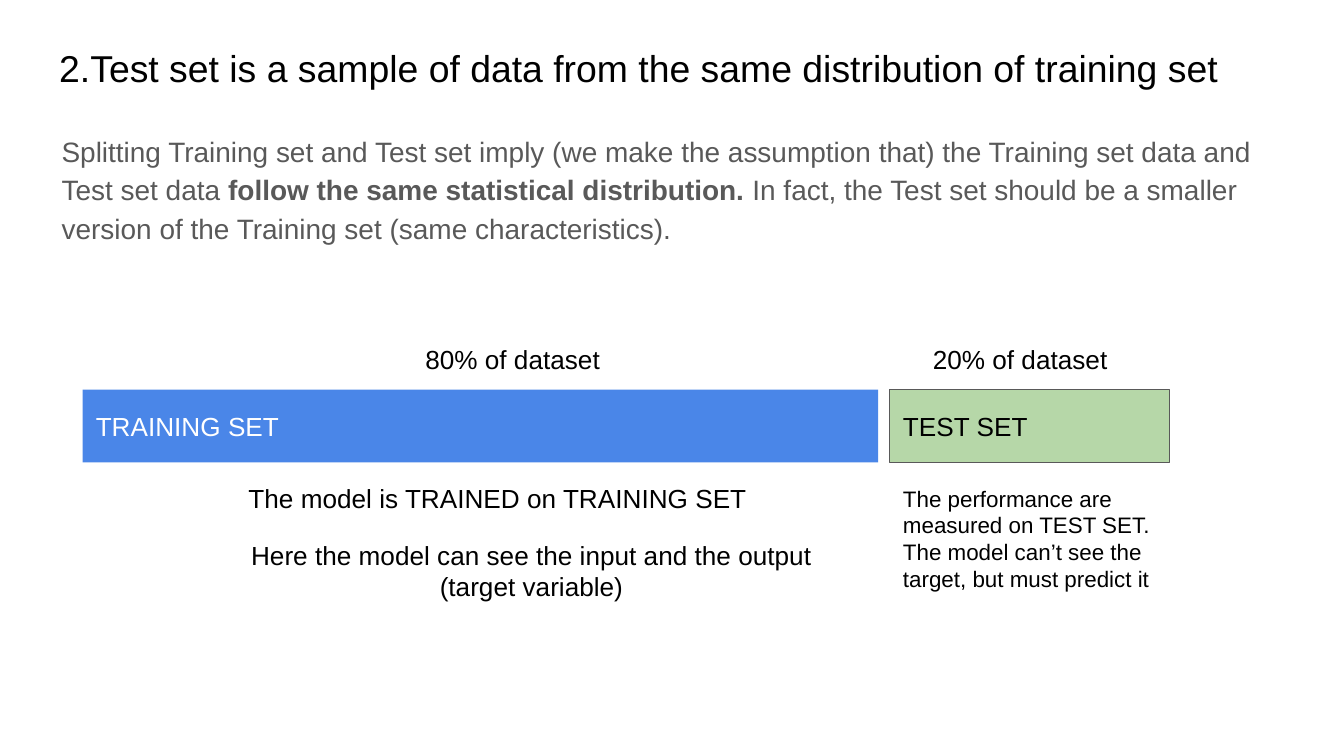
import pptx
import pptx.util
import pptx.dml.color
import pptx.enum.shapes
import pptx.enum.text

BLACK = pptx.dml.color.RGBColor(0x00, 0x00, 0x00)
WHITE = pptx.dml.color.RGBColor(0xFF, 0xFF, 0xFF)
GRAY = pptx.dml.color.RGBColor(0x59, 0x59, 0x59)
BLUE = pptx.dml.color.RGBColor(0x4A, 0x86, 0xE8)
GREEN = pptx.dml.color.RGBColor(0xB6, 0xD7, 0xA8)

ALIGN = pptx.enum.text.PP_ALIGN
ANCHOR = pptx.enum.text.MSO_ANCHOR

deck = pptx.Presentation()
deck.slide_width = pptx.util.Inches(10)
deck.slide_height = deck.slide_width * 9 // 16
slide = deck.slides.add_slide(deck.slide_layouts[5])


def place(column, row, columns, rows):
    """Turn percentages of the slide's width and height into a box."""
    width, height = deck.slide_width / 100, deck.slide_height / 100
    return [int(n) for n in (column * width, row * height, columns * width, rows * height)]


def write(shape, pieces, size, color, align=ALIGN.LEFT, anchor=ANCHOR.TOP):
    """Fill a shape with one paragraph; every second piece is bold."""
    frame = shape.text_frame
    frame.word_wrap = True
    frame.auto_size = pptx.enum.text.MSO_AUTO_SIZE.NONE
    frame.vertical_anchor = anchor
    frame.margin_left = frame.margin_right = pptx.util.Inches(0.1)
    frame.margin_top = frame.margin_bottom = pptx.util.Inches(0.1)
    paragraph = frame.paragraphs[0]
    paragraph.alignment = align
    for index, piece in enumerate(pieces):
        run = paragraph.add_run()
        run.text = piece
        run.font.name = "Arial"
        run.font.size = pptx.util.Pt(size)
        run.font.bold = index % 2 == 1
        run.font.color.rgb = color
    return paragraph


heading = slide.shapes.title
heading.left, heading.top, heading.width, heading.height = place(3.4, 4.2, 90.6, 11.56)
write(heading, ["2.Test set is a sample of data from the same distribution of training set"], 20, BLACK)

explanation = write(
    slide.shapes.add_textbox(*place(3.6, 15.29, 92.8, 13.87)),
    [
        "Splitting Training set and Test set imply (we make the assumption that) "
        "the Training set data and Test set data ",
        "follow the same statistical distribution. ",
        "In fact, the Test set should be a smaller version of the Training set (same characteristics).",
    ],
    15, GRAY)
explanation.line_spacing = 1.15
explanation.space_after = pptx.util.Pt(16)

# The two parts of the dataset share one band
for label, column, columns, fill, outline, color in [
    ("TRAINING SET", 6.14, 59.2, BLUE, None, WHITE),
    ("TEST SET", 66.2, 20.8, GREEN, GRAY, BLACK),
]:
    part = slide.shapes.add_shape(
        pptx.enum.shapes.MSO_SHAPE.RECTANGLE, *place(column, 51.56, columns, 9.6))
    part.shadow.inherit = False
    part.fill.solid()
    part.fill.fore_color.rgb = fill
    if outline:
        part.line.color.rgb = outline
        part.line.width = pptx.util.Pt(0.75)
    else:
        part.line.fill.background()
    write(part, [label], 14, color, anchor=ANCHOR.MIDDLE)

# Remarks below the band, then the shares above it
for remark, box, size, align in [
    ("The model is TRAINED on TRAINING SET", (17.5, 62.04, 40.2, 7.29), 14, ALIGN.LEFT),
    ("Here the model can see the input and the output (target variable)",
     (15.8, 69.55, 47.5, 11.56), 14, ALIGN.CENTER),
    ("The performance are measured on TEST SET. The model can’t see the target, but must predict it",
     (66.2, 62.35, 23.2, 16.53), 12, ALIGN.LEFT),
    ("80% of dataset", (30.66, 43.6, 16.3, 8.53), 14, ALIGN.LEFT),
    ("20% of dataset", (68.42, 43.6, 16.3, 8.53), 14, ALIGN.LEFT),
]:
    write(slide.shapes.add_textbox(*place(*box)), [remark], size, BLACK, align)

deck.save("out.pptx")
